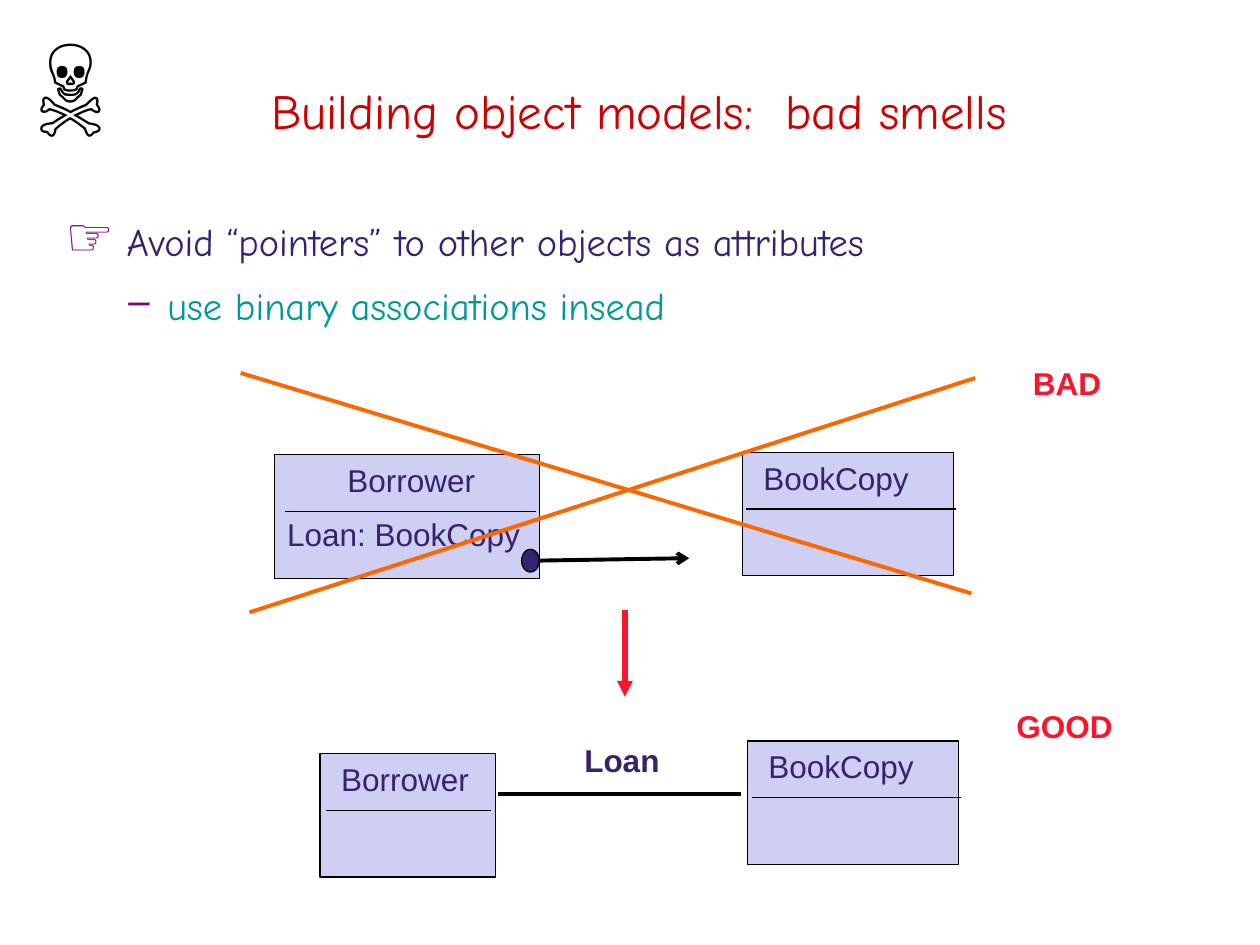
from lxml.etree import SubElement
from pptx import Presentation
from pptx.dml.color import RGBColor
from pptx.enum.shapes import MSO_CONNECTOR, MSO_SHAPE
from pptx.enum.text import MSO_ANCHOR, PP_ALIGN
from pptx.oxml.ns import qn
from pptx.util import Emu, Inches, Pt

RED = RGBColor(0xCC, 0x00, 0x00)
BRIGHT_RED = RGBColor(0xF9, 0x15, 0x2B)
PURPLE = RGBColor(0x80, 0x00, 0x80)
INDIGO = RGBColor(0x35, 0x22, 0x70)
TEAL = RGBColor(0x00, 0x99, 0x99)
LAVENDER = RGBColor(0xCE, 0xCF, 0xF2)
ORANGE = RGBColor(0xFF, 0x66, 0x00)
BLACK = RGBColor(0x00, 0x00, 0x00)
HAND, SANS = "Comic Neue", "Arial"

presentation = Presentation()
presentation.slide_width, presentation.slide_height = Inches(10), Inches(7.5)
slide = presentation.slides.add_slide(presentation.slide_layouts[5])
shapes = slide.shapes

# Grid of 100 columns by 75 rows
COLUMN = presentation.slide_width / 100
ROW = presentation.slide_height / 75


def grid(*values):
    """Turn alternating columns and rows into lengths."""
    return [Emu(round(value * (ROW if i % 2 else COLUMN))) for i, value in enumerate(values)]


def add_line(start, end, color=BLACK, width=0.75, arrow=None):
    line = shapes.add_connector(MSO_CONNECTOR.STRAIGHT, *grid(*start, *end))
    line.line.color.rgb = color
    line.line.width = Pt(width)
    if arrow:
        SubElement(line.line._get_or_add_ln(), qn("a:tailEnd"), type=arrow)
    SubElement(line._element.spPr, qn("a:effectLst"))


def style(run, size, color, name=SANS, bold=False):
    run.font.size, run.font.name, run.font.bold = Pt(size), name, bold
    run.font.color.rgb = color


# Title
title = shapes.title
title.left, title.top, title.width, title.height = grid(3.4, 4.1, 94.6, 8.3)
title.text_frame.text = "Building object models:  bad smells"
title.text_frame.vertical_anchor = MSO_ANCHOR.MIDDLE
heading = title.text_frame.paragraphs[0]
heading.alignment, heading.line_spacing = PP_ALIGN.CENTER, 1.2
style(heading.runs[0], 28, RED, HAND)

# Advice: pointing hand, then a dashed second level
advice = shapes.add_textbox(*grid(4.2, 15.1, 79.8, 11.4)).text_frame
advice.word_wrap, advice.vertical_anchor = True, MSO_ANCHOR.MIDDLE
point = advice.paragraphs[0]
for text, size, color, name, bold in (
        ("☞", 31, PURPLE, SANS, True),
        (" Avoid “pointers” to other objects as attributes", 22, INDIGO, HAND, False)):
    run = point.add_run()
    run.text = text
    style(run, size, color, name, bold)
detail = advice.add_paragraph()
detail.text, detail.level, detail.space_before = "use binary associations insead", 1, Pt(5.5)
style(detail.runs[0], 22, TEAL, HAND)
for paragraph, margin, indent in ((point, 0.38, -0.38), (detail, 0.81, -0.31)):
    paragraph.line_spacing = 1.1
    properties = paragraph._p.get_or_add_pPr()
    properties.set("marL", str(Inches(margin)))
    properties.set("indent", str(Inches(indent)))
bullet_color = SubElement(properties, qn("a:buClr"))
SubElement(bullet_color, qn("a:srgbClr"), val=str(PURPLE))
SubElement(properties, qn("a:buChar"), char="–")

# Class boxes: place, lines of text, first alignment, divider start and end
DIVIDER_DROP = 4.5
for left, top, width, lines, alignment, divider_start, divider_end in (
        (25.4, 59.8, 13.9, " Borrower", PP_ALIGN.LEFT, 25.9, 39),
        (59.3, 58.8, 16.8, " BookCopy", PP_ALIGN.LEFT, 59.7, 76.3),
        (21.8, 36.1, 21, " Borrower\nLoan: BookCopy", PP_ALIGN.CENTER, 22.6, 42.5),
        (58.9, 35.9, 16.8, " BookCopy", PP_ALIGN.LEFT, 59.2, 75.9)):
    box = shapes.add_shape(MSO_SHAPE.RECTANGLE, *grid(left, top, width, 9.8))
    box.shadow.inherit = False
    box.fill.solid()
    box.fill.fore_color.rgb = LAVENDER
    box.line.color.rgb, box.line.width = BLACK, Pt(0.75)
    frame = box.text_frame
    frame.text, frame.vertical_anchor = lines, MSO_ANCHOR.TOP
    for i, paragraph in enumerate(frame.paragraphs):
        paragraph.alignment = PP_ALIGN.LEFT if i else alignment
        paragraph.space_before = Pt(9 if i else 0)
        style(paragraph.runs[0], 18, INDIGO)
    divider_row = top + DIVIDER_DROP
    add_line((divider_start, divider_row), (divider_end, divider_row))

# Association in the good model
add_line((39.5, 63), (58.8, 63), width=2.25)

# Pointer in the bad model
add_line((42.3, 44.5), (54.7, 44.3), width=2.25, arrow="arrow")
dot = shapes.add_shape(MSO_SHAPE.OVAL, *grid(41.4, 43.6, 1.4, 1.8))
dot.shadow.inherit = False
dot.fill.solid()
dot.fill.fore_color.rgb = INDIGO
dot.line.color.rgb, dot.line.width = BLACK, Pt(0.75)

# Cross over the bad model, and arrow to the good one
add_line((19.8, 48.6), (77.4, 30), ORANGE, 2.25)
add_line((77.1, 47.1), (19.1, 29.6), ORANGE, 2.25)
add_line((49.6, 48.4), (49.6, 55.3), BRIGHT_RED, 3, "triangle")

# Labels
for place, text, color in (
        ((44.7, 58.3, 11, 5.1), " Loan", INDIGO),
        ((80.3, 28.4, 10.4, 4.4), " BAD", BRIGHT_RED),
        ((79, 55.6, 11, 5.1), " GOOD", BRIGHT_RED)):
    label = shapes.add_textbox(*grid(*place)).text_frame
    label.word_wrap = True
    label.text = text
    style(label.paragraphs[0].runs[0], 18, color, bold=True)

# Warning sign
sign = shapes.add_textbox(*grid(1.2, 0.4, 8.8, 10.9)).text_frame
sign.word_wrap, sign.vertical_anchor = True, MSO_ANCHOR.MIDDLE
sign.text = "☠"
skull = sign.paragraphs[0]
skull.alignment, skull.line_spacing, skull.space_before = PP_ALIGN.CENTER, 1.1, Pt(12)
style(skull.runs[0], 54, BLACK)

presentation.save("out.pptx")
